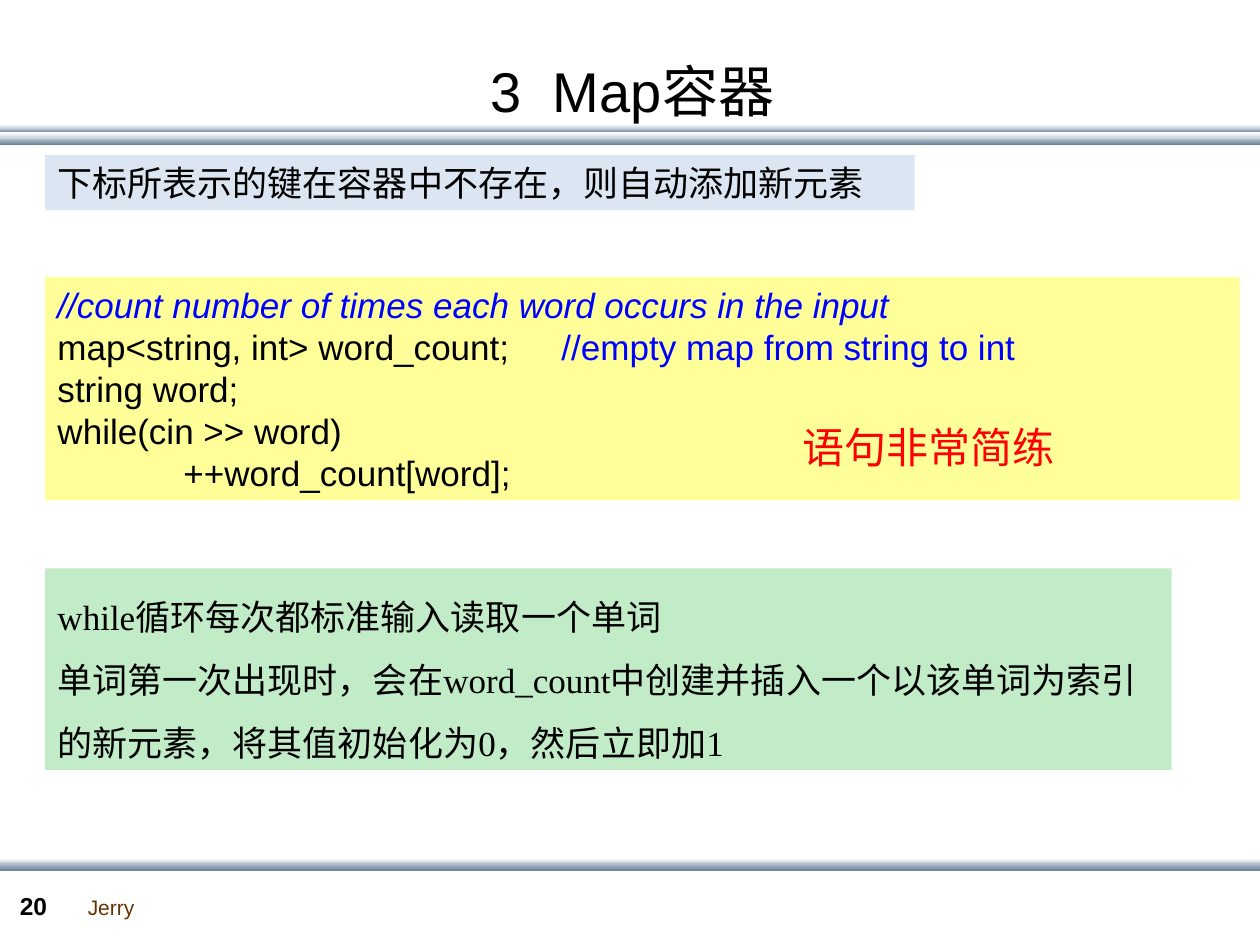
from dataclasses import dataclass

from lxml.etree import SubElement
from pptx import Presentation
from pptx.dml.color import RGBColor
from pptx.enum.shapes import MSO_SHAPE
from pptx.enum.text import MSO_ANCHOR, PP_ALIGN
from pptx.oxml.ns import qn
from pptx.util import Cm, Pt


@dataclass(frozen=True)
class Theme:
    white: str = "FFFFFF"
    mist: str = "C8D1DA"
    steel: str = "6A839C"
    pale_blue: str = "DCE6F2"
    pale_green: str = "C2EBC7"
    yellow: str = "FFFF99"
    black: str = "000000"
    comment: str = "0000FF"
    red: str = "FF0000"
    brown: str = "663300"
    sans: str = "Arial"
    serif: str = "Times New Roman"
    chinese: str = "Noto Sans CJK SC"
    title: int = 32
    remark: int = 24
    body: int = 20
    number: int = 14
    footer: int = 12


class SlideBuilder:
    TAB_STOPS = 8
    TAB_WIDTH = Cm(2.54)

    def __init__(self, page, theme):
        self.page = page
        self.theme = theme

    def band(self, top, height, start, end):
        """Add a full-width bar shaded from top to bottom."""
        bar = self.page.shapes.add_shape(
            MSO_SHAPE.RECTANGLE, 0, Cm(top), Cm(25.4), Cm(height))
        bar.shadow.inherit = False
        bar.line.fill.background()
        bar.fill.gradient()
        bar.fill.gradient_angle = 270
        for stop, color in zip(bar.fill.gradient_stops, (start, end)):
            stop.color.rgb = RGBColor.from_string(color)

    def text(self, place, paragraphs, size, font, color=None, fill=None,
             align=PP_ALIGN.LEFT, anchor=MSO_ANCHOR.TOP, spacing=None,
             bold=None, wrap=True, tabs=False):
        """Add a text box; a paragraph is a string or a list of (text, color, italic)."""
        box = self.page.shapes.add_textbox(*map(Cm, place))
        if fill:
            box.fill.solid()
            box.fill.fore_color.rgb = RGBColor.from_string(fill)
        frame = box.text_frame
        frame.word_wrap = wrap
        frame.vertical_anchor = anchor
        for index, content in enumerate(paragraphs):
            para = frame.add_paragraph() if index else frame.paragraphs[0]
            para.alignment = align
            if spacing:
                para.line_spacing = spacing
            if tabs:
                self.add_tabs(para)
            self.style(para, size, font, color or self.theme.black, bold)
            if isinstance(content, str):
                para.add_run().text = content
                continue
            for words, span_color, italic in content:
                span = para.add_run()
                span.text = words
                span.font.color.rgb = RGBColor.from_string(span_color)
                span.font.italic = italic

    def style(self, para, size, font, color, bold):
        para.font.size = Pt(size)
        para.font.bold = bold
        para.font.color.rgb = RGBColor.from_string(color)
        para.font.name = font
        defaults = para._p.pPr.find(qn("a:defRPr"))
        SubElement(defaults, qn("a:ea"), typeface=self.theme.chinese)

    def add_tabs(self, para):
        tab_list = SubElement(para._p.get_or_add_pPr(), qn("a:tabLst"))
        for stop in range(self.TAB_STOPS):
            SubElement(tab_list, qn("a:tab"), pos=str(stop * self.TAB_WIDTH), algn="l")


def main():
    deck = Presentation()
    deck.slide_width, deck.slide_height = Cm(25.4), Cm(19.05)
    theme = Theme()
    slide = SlideBuilder(deck.slides.add_slide(deck.slide_layouts[6]), theme)

    light, dark = (theme.white, theme.mist), (theme.mist, theme.steel)
    for top, height, shades in (
        (2.77, 0.15, dark), (2.59, 0.08, dark),
        (2.67, 0.12, light), (2.51, 0.08, light),
        (17.3, 0.12, light), (17.38, 0.17, dark),
    ):
        slide.band(top, height, *shades)

    slide.text((1.52, 17.91, 1.45, 0.76), ["Jerry"], theme.footer, theme.sans,
               theme.brown, wrap=False)
    slide.text((0.15, 17.83, 1.4, 0.86), ["20"], theme.number, theme.sans, bold=True)
    slide.text((0.56, 1.12, 24.38, 1.4), ["3  Map容器"], theme.title, theme.sans,
               align=PP_ALIGN.CENTER, anchor=MSO_ANCHOR.MIDDLE)

    left = 0.91
    slide.text((left, 3.13, 17.53, 1.11),
               ["下标所表示的键在容器中不存在，则自动添加新元素"],
               theme.body, theme.serif, fill=theme.pale_blue)
    slide.text((left, 11.46, 22.71, 4.06), [
        "while循环每次都标准输入读取一个单词",
        "单词第一次出现时，会在word_count中创建并插入一个以该单词为索引的新元素，"
        "将其值初始化为0，然后立即加1",
    ], theme.body, theme.serif, fill=theme.pale_green, spacing=1.5)
    slide.text((left, 5.59, 24.08, 4.5), [
        [("//count number of times each word occurs in the input", theme.comment, True)],
        [("map<string, int> word_count; \t", theme.black, False),
         ("//empty map from string to int", theme.comment, False)],
        "string word;",
        "while(cin >> word)",
        "\t++word_count[word];",
    ], theme.body, theme.sans, fill=theme.yellow, tabs=True)
    slide.text((15.93, 8.38, 6.12, 1.27), ["语句非常简练"], theme.remark,
               theme.chinese, theme.red)

    deck.save("out.pptx")


if __name__ == "__main__":
    main()
